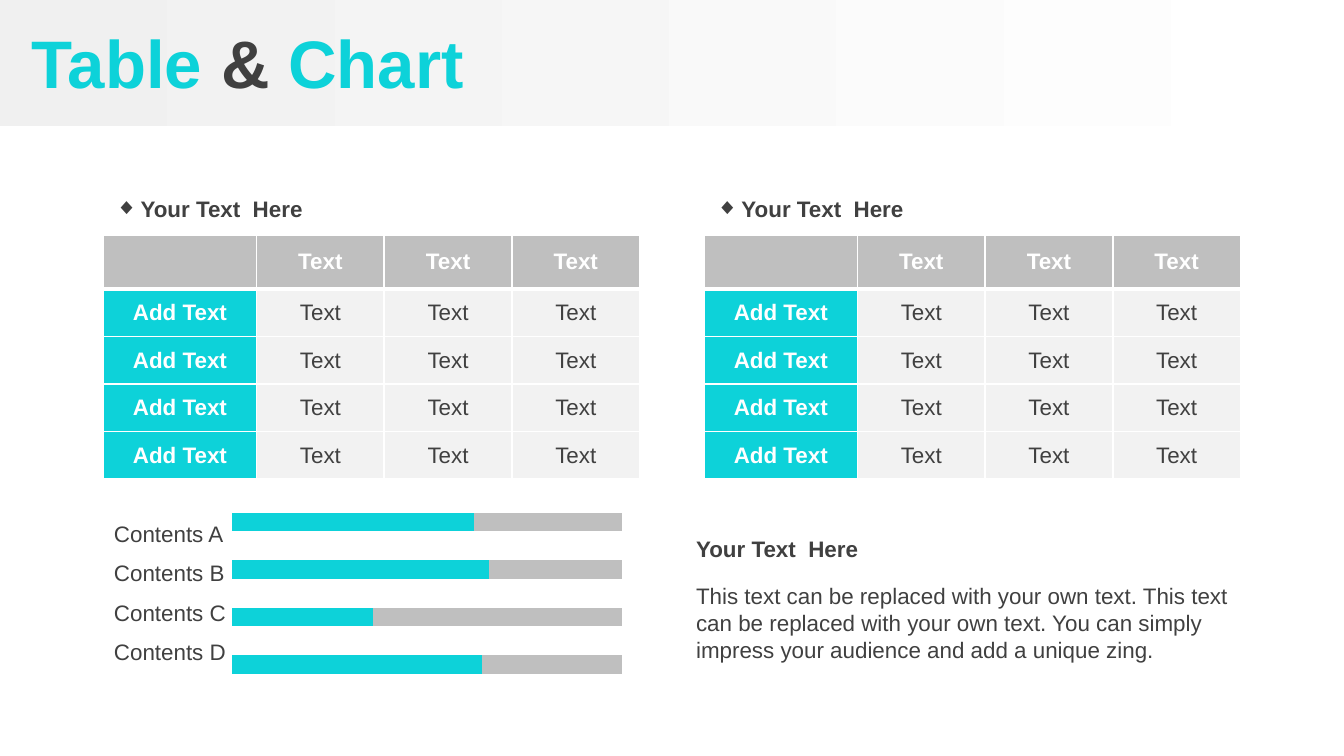
from dataclasses import dataclass

from lxml import etree
from pptx import Presentation
from pptx import util as u
from pptx.chart import data as chart_data
from pptx.dml import color
from pptx.enum import chart as charts, shapes, text
from pptx.oxml import ns

FONT = "Arial"
CYAN, DARK, GREY, PALE, WHITE = "0DD2D9", "404040", "BFBFBF", "F2F2F2", "FFFFFF"
HEADING = "Your Text  Here"
COLUMNS = (82.08, 68.4, 68.4, 68.4)
ROW_COUNT, ROW_HEIGHT = 5, 25.5
MIDDLE = text.MSO_ANCHOR.MIDDLE


@dataclass(frozen=True)
class Area:
    left: float
    top: float
    width: float
    height: float

    def lengths(self) -> list:
        return [u.Pt(n) for n in (self.left, self.top, self.width, self.height)]


@dataclass(frozen=True)
class Series:
    name: str
    values: tuple
    colour: str


def rgb(value: str) -> color.RGBColor:
    return color.RGBColor.from_string(value)


def write(para, words: str, *, size: float = 12, colour: str = DARK,
          bold: bool = False, align=None) -> None:
    span = para.add_run()
    span.text = words
    span.font.name = FONT
    span.font.size = u.Pt(size)
    span.font.bold = bold
    span.font.color.rgb = rgb(colour)
    if align is not None:
        para.alignment = align


def add_box(parent, area: Area, anchor=text.MSO_ANCHOR.TOP):
    box = parent.shapes.add_textbox(*area.lengths())
    box.text_frame.word_wrap = True
    box.text_frame.vertical_anchor = anchor
    return box.text_frame.paragraphs[0]


def add_banner(page) -> None:
    banner = page.shapes.add_shape(
        shapes.MSO_SHAPE.RECTANGLE, *Area(0, 0, 717, 67.8).lengths())
    banner.shadow.inherit = False
    banner.line.fill.background()
    banner.fill.gradient()
    banner.fill.gradient_angle = 0
    for stop, colour in zip(banner.fill.gradient_stops, ("F0F0F0", WHITE)):
        stop.color.rgb = rgb(colour)

    para = add_box(page, Area(0, 2.2, 720, 61.2), MIDDLE)
    for words, colour in ((" Table ", CYAN), ("& ", DARK), ("Chart", CYAN)):
        write(para, words, size=36, colour=colour, bold=True)


def add_bullet_heading(page, left: float) -> None:
    para = add_box(page, Area(left, 100.8, 131, 21.6))
    write(para, HEADING, bold=True)
    settings = para._p.get_or_add_pPr()
    settings.set("marL", str(u.Pt(13.5)))
    settings.set("indent", str(u.Pt(-13.5)))
    etree.SubElement(settings, ns.qn("a:buFont"), typeface=FONT)
    etree.SubElement(settings, ns.qn("a:buChar"), char="◆")


def add_borders(cell, bottom: float) -> None:
    settings = cell._tc.get_or_add_tcPr()
    widths = {"a:lnL": 1, "a:lnR": 1, "a:lnT": 1, "a:lnB": bottom}
    for position, (side, width) in enumerate(widths.items()):
        line = etree.Element(ns.qn(side), w=str(u.Pt(width)))
        fill = etree.SubElement(line, ns.qn("a:solidFill"))
        etree.SubElement(fill, ns.qn("a:srgbClr"), val=WHITE)
        settings.insert(position, line)


def add_grid(page, left: float) -> None:
    area = Area(left, 126, sum(COLUMNS), ROW_COUNT * ROW_HEIGHT)
    table = page.shapes.add_table(
        ROW_COUNT, len(COLUMNS), *area.lengths()).table
    table.first_row = table.horz_banding = False
    for column, width in zip(table.columns, COLUMNS):
        column.width = u.Pt(width)
    for r, row in enumerate(table.rows):
        row.height = u.Pt(ROW_HEIGHT)
        for c, cell in enumerate(row.cells):
            label = r == 0 or c == 0
            cell.fill.solid()
            cell.fill.fore_color.rgb = rgb(
                GREY if r == 0 else CYAN if c == 0 else PALE)
            add_borders(cell, bottom=3 if r == 0 else 1)
            cell.vertical_anchor = MIDDLE
            if r or c:
                write(cell.text_frame.paragraphs[0],
                      "Text" if c else "Add Text",
                      colour=WHITE if label else DARK, bold=label,
                      align=text.PP_ALIGN.CENTER)


def add_bars(page, area: Area, all_series: list[Series]) -> None:
    source = chart_data.CategoryChartData()
    source.categories = ["1", "2", "3", "4"]
    for series in all_series:
        source.add_series(series.name, series.values)
    chart = page.shapes.add_chart(
        charts.XL_CHART_TYPE.BAR_STACKED_100, *area.lengths(), source).chart
    chart.has_legend = chart.has_title = False
    chart.font.name = FONT
    chart.font.size = u.Pt(18)
    chart.font.color.rgb = rgb("000000")
    chart.value_axis.has_major_gridlines = False
    chart.category_axis.visible = chart.value_axis.visible = False

    plot = chart.plots[0]
    plot.gap_width, plot.overlap = 157, 100
    plot.vary_by_categories = False
    for drawn, series in zip(plot.series, all_series):
        drawn.format.fill.solid()
        drawn.format.fill.fore_color.rgb = rgb(series.colour)

    plot_area = chart._chartSpace.chart.plotArea
    for old in plot_area.findall(ns.qn("c:layout")):
        plot_area.remove(old)
    layout = etree.Element(ns.qn("c:layout"))
    manual = etree.SubElement(layout, ns.qn("c:manualLayout"))
    for tag, value in (("layoutTarget", "inner"), ("xMode", "edge"),
                       ("yMode", "edge"), ("x", "0.02"), ("y", "0.02"),
                       ("w", "0.96"), ("h", "0.96")):
        etree.SubElement(manual, ns.qn(f"c:{tag}"), val=value)
    plot_area.insert(0, layout)


def main() -> None:
    deck = Presentation()
    deck.slide_width, deck.slide_height = u.Pt(720), u.Pt(405)
    page = deck.slides.add_slide(deck.slide_layouts[6])

    add_banner(page)
    for left in (377.3, 55.4):
        add_bullet_heading(page, left - 0.7)
        add_grid(page, left)

    labels = page.shapes.add_group_shape()
    for i, letter in enumerate("ABCD"):
        para = add_box(labels, Area(54, 275 + 21.2 * i, 79.2, 21.6))
        write(para, f"Contents {letter}")

    add_bars(page, Area(120.2, 265, 217.4, 105.8), [
        Series("Series 1", (64, 36, 66, 62), CYAN),
        Series("Series 2", (36, 64, 34, 38), GREY),
    ])

    summary = page.shapes.add_group_shape()
    write(add_box(summary, Area(365.8, 308.2, 303.1, 51.1)),
          "This text can be replaced with your own text. This text can be "
          "replaced with your own text. You can simply impress your audience "
          "and add a unique zing.")
    write(add_box(summary, Area(365.8, 283, 303.1, 21.6)), HEADING, bold=True)

    deck.save("out.pptx")


if __name__ == "__main__":
    main()
